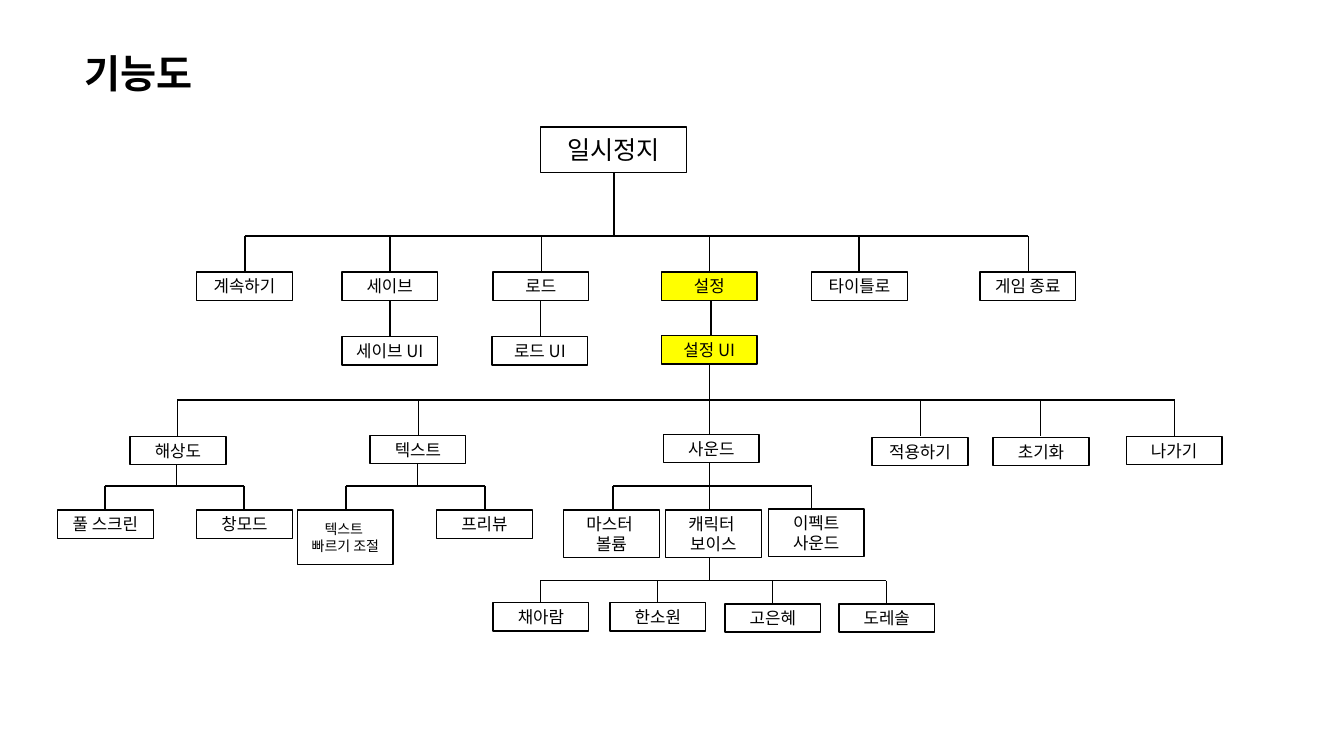
import pptx
import pptx.util
import pptx.dml.color
import pptx.enum.shapes
import pptx.enum.text
import pptx.oxml.ns
import lxml.etree

Inches = pptx.util.Inches
COLORS = {"ink": "000000", "box": "FFFFFF", "highlight": "FFFF00"}
RGB = {name: pptx.dml.color.RGBColor.from_string(value) for name, value in COLORS.items()}
BOX_FONT = "Noto Sans CJK KR"
BOX_WIDTH = 0.95
BOX_HEIGHT = 0.28


def write_text(shape, text, size, font_name, alignment, bold=False):
    frame = shape.text_frame
    frame.word_wrap = True
    frame.text = text
    for paragraph in frame.paragraphs:
        paragraph.alignment = alignment
        paragraph.font.size = pptx.util.Pt(size)
        paragraph.font.bold = bold
        paragraph.font.color.rgb = RGB["ink"]
        paragraph.font.name = font_name
        # Korean letters take the East Asian typeface
        for run in paragraph.runs:
            properties = run._r.get_or_add_rPr()
            east_asian = lxml.etree.SubElement(properties, pptx.oxml.ns.qn("a:ea"))
            east_asian.set("typeface", font_name)


def add_line(x1, y1, x2, y2):
    connector = slide.shapes.add_connector(
        pptx.enum.shapes.MSO_CONNECTOR.STRAIGHT,
        Inches(x1), Inches(y1), Inches(x2), Inches(y2))
    connector.line.color.rgb = RGB["ink"]
    connector.line.width = pptx.util.Pt(1)
    lxml.etree.SubElement(connector._element.spPr, pptx.oxml.ns.qn("a:effectLst"))


presentation = pptx.Presentation()
presentation.slide_width = Inches(13.33)
presentation.slide_height = Inches(7.5)
slide = presentation.slides.add_slide(presentation.slide_layouts[6])

# Title
title = slide.shapes.add_textbox(Inches(0.74), Inches(0.44), Inches(2.73), Inches(1.04))
write_text(title, "기능도", 28, "Roboto", pptx.enum.text.PP_ALIGN.LEFT, bold=True)

# Branches: stem x, stem top, bar y, drop bottom, x of each drop
branches = [
    (6.09, 1.7, 2.34, 2.7, [2.43, 3.87, 5.37, 7.04, 8.52, 10.2]),
    (7.04, 3.62, 3.97, 4.33, [1.76, 4.15, 7.04, 9.13, 10.32, 11.65]),
    (1.75, 4.6, 4.82, 5.06, [1.04, 2.42]),
    (4.14, 4.6, 4.82, 5.06, [3.43, 4.81]),
    (7.04, 4.59, 4.82, 5.06, [6.08, 7.04, 8.05]),
    (7.04, 5.53, 5.76, 5.99, [5.36, 6.52, 7.66, 8.79]),
]
for stem_x, stem_top, bar_y, drop_bottom, drops in branches:
    add_line(stem_x, stem_top, stem_x, bar_y)
    add_line(drops[0], bar_y, drops[-1], bar_y)
    for drop_x in drops:
        add_line(drop_x, bar_y, drop_x, drop_bottom)

# Links from menu items to their UI screens
for link_x in (3.87, 5.36, 7.05):
    add_line(link_x, 2.98, link_x, 3.34)

# Boxes: text, left, top, then width, height and text size where they differ
boxes = [
    ("일시정지", 5.36, 1.26, 1.45, 0.45, 18),
    ("계속하기", 1.95, 2.7),
    ("세이브", 3.39, 2.7),
    ("로드", 4.89, 2.7),
    ("설정", 6.56, 2.7),
    ("타이틀로", 8.05, 2.7),
    ("게임 종료", 9.72, 2.7),
    ("세이브 UI", 3.39, 3.34),
    ("로드 UI", 4.88, 3.34),
    ("설정 UI", 6.56, 3.33),
    ("해상도", 1.29, 4.33),
    ("텍스트", 3.67, 4.32),
    ("사운드", 6.58, 4.31),
    ("적용하기", 8.65, 4.34),
    ("초기화", 9.85, 4.34),
    ("나가기", 11.17, 4.33),
    ("풀 스크린", 0.57, 5.06),
    ("창모드", 1.95, 5.06),
    ("텍스트 \n빠르기 조절", 2.95, 5.06, BOX_WIDTH, 0.54, 10),
    ("프리뷰", 4.33, 5.06),
    ("마스터 \n볼륨", 5.59, 5.06, BOX_WIDTH, 0.47),
    ("캐릭터 \n보이스", 6.6, 5.06, BOX_WIDTH, 0.47),
    ("이펙트\n사운드", 7.62, 5.05, BOX_WIDTH, 0.47),
    ("채아람", 4.89, 5.98),
    ("한소원", 6.05, 5.98),
    ("고은혜", 7.19, 5.99),
    ("도레솔", 8.32, 5.99),
]
defaults = (BOX_WIDTH, BOX_HEIGHT, 12)
for text, left, top, *changes in boxes:
    width, height, size = (*changes, *defaults[len(changes):])
    box = slide.shapes.add_shape(
        pptx.enum.shapes.MSO_SHAPE.RECTANGLE,
        Inches(left), Inches(top), Inches(width), Inches(height))
    box.shadow.inherit = False
    box.fill.solid()
    box.fill.fore_color.rgb = RGB["highlight" if text.startswith("설정") else "box"]
    box.line.color.rgb = RGB["ink"]
    box.line.width = pptx.util.Pt(1)
    box.text_frame.vertical_anchor = pptx.enum.text.MSO_ANCHOR.MIDDLE
    box.text_frame.margin_left = box.text_frame.margin_right = Inches(0.05)
    write_text(box, text, size, BOX_FONT, pptx.enum.text.PP_ALIGN.CENTER)

presentation.save("out.pptx")
